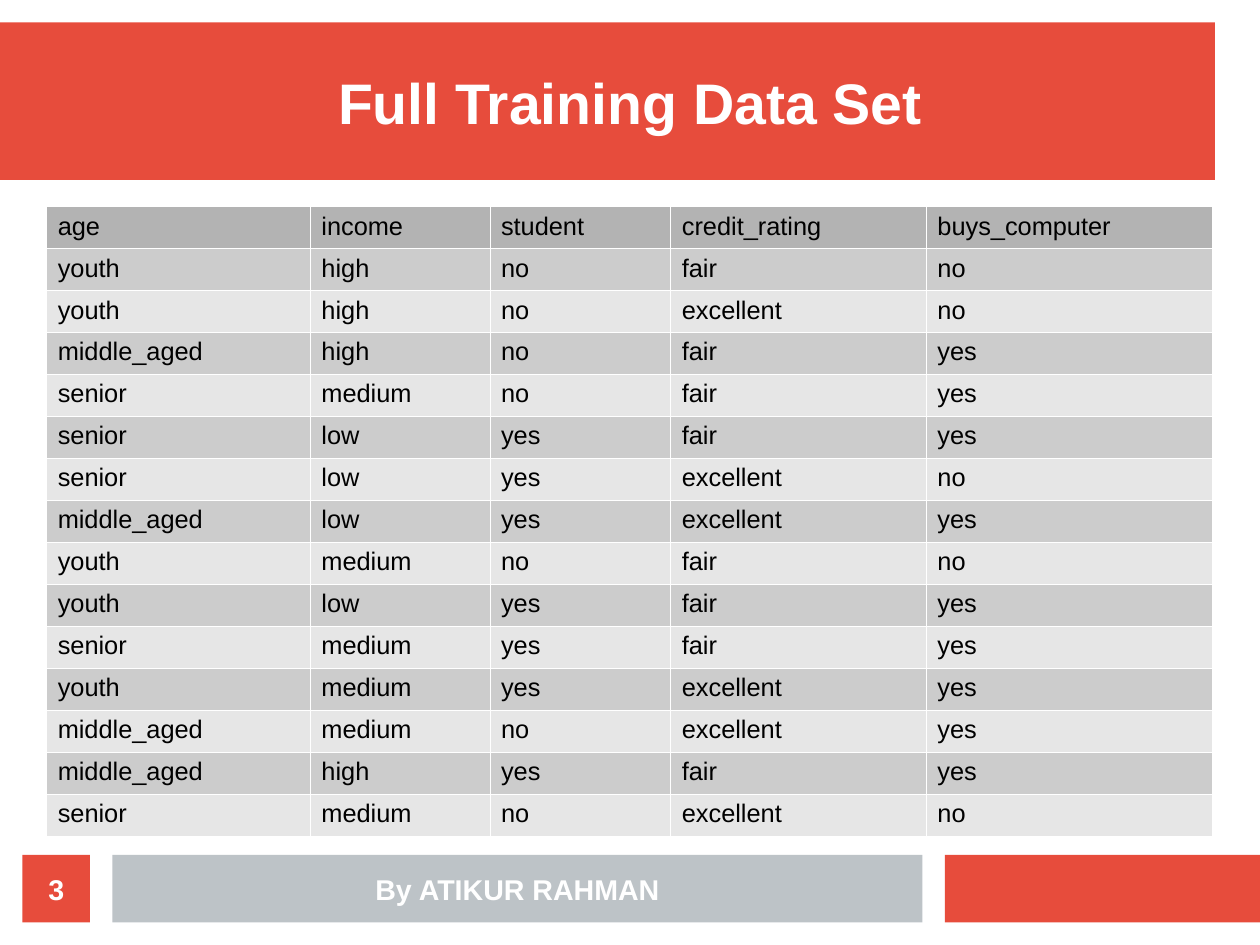
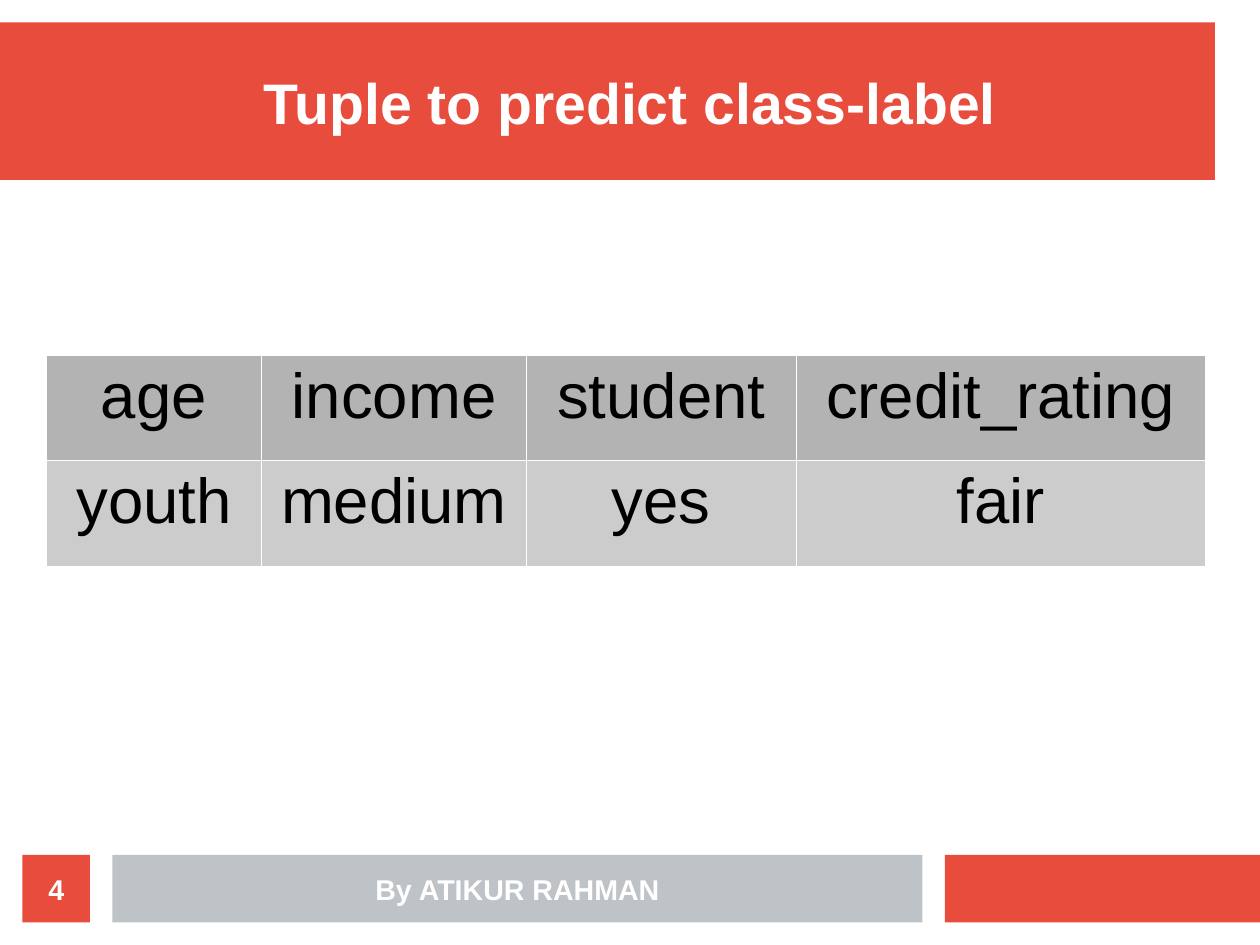
from dataclasses import dataclass

from lxml import etree
from pptx import Presentation
from pptx.dml.color import RGBColor
from pptx.enum.shapes import MSO_SHAPE
from pptx.enum.text import MSO_ANCHOR, PP_ALIGN
from pptx.oxml.ns import qn
from pptx.util import Cm, Pt

RECTANGLE = MSO_SHAPE.RECTANGLE
MIDDLE = MSO_ANCHOR.MIDDLE
LEFT, CENTER = PP_ALIGN.LEFT, PP_ALIGN.CENTER


@dataclass(frozen=True)
class Theme:
    font: str = "Arial"
    accent: str = "E74C3C"
    footer: str = "BDC3C7"
    light: str = "FFFFFF"
    dark: str = "000000"
    header_row: str = "B3B3B3"
    odd_row: str = "CCCCCC"
    even_row: str = "E6E6E6"
    title_size: int = 36
    footer_size: int = 18
    border_width: int = 762


THEME = Theme()
AUTHOR = "By ATIKUR RAHMAN"

# All lengths are in centimetres; boxes are left, top, width, height.
SLIDE_WIDTH, SLIDE_HEIGHT = 28, 21
TITLE_BAND = (0, 0.5, 27, 3.5)
TITLE_BOX = (4.52, 1, 18.97, 2.5)
FOOTER_TOP, FOOTER_HEIGHT = 19, 1.5
NUMBER_BOX = (0.5, FOOTER_TOP, 1.5, FOOTER_HEIGHT)
AUTHOR_BOX = (2.5, FOOTER_TOP, 18, FOOTER_HEIGHT)
CORNER_BOX = (21, FOOTER_TOP, 7, FOOTER_HEIGHT)
TABLE_LEFT = 1.03

SLIDES = [
    {
        "number": 3,
        "title": "Full Training Data Set",
        "top": 4.59,
        "row_height": 0.93,
        "columns": (5.86, 3.99, 4.02, 5.68, 6.35),
        "size": 16,
        "align": LEFT,
        "rows": [
            ("age", "income", "student", "credit_rating", "buys_computer"),
            ("youth", "high", "no", "fair", "no"),
            ("youth", "high", "no", "excellent", "no"),
            ("middle_aged", "high", "no", "fair", "yes"),
            ("senior", "medium", "no", "fair", "yes"),
            ("senior", "low", "yes", "fair", "yes"),
            ("senior", "low", "yes", "excellent", "no"),
            ("middle_aged", "low", "yes", "excellent", "yes"),
            ("youth", "medium", "no", "fair", "no"),
            ("youth", "low", "yes", "fair", "yes"),
            ("senior", "medium", "yes", "fair", "yes"),
            ("youth", "medium", "yes", "excellent", "yes"),
            ("middle_aged", "medium", "no", "excellent", "yes"),
            ("middle_aged", "high", "yes", "fair", "yes"),
            ("senior", "medium", "no", "excellent", "no"),
        ],
    },
    {
        "number": 4,
        "title": "Tuple to predict class-label",
        "top": 7.89,
        "row_height": 2.34,
        "columns": (4.78, 5.89, 5.99, 9.09),
        "size": 40,
        "align": CENTER,
        "rows": [
            ("age", "income", "student", "credit_rating"),
            ("youth", "medium", "yes", "fair"),
        ],
    },
]


def write_text(frame, text, size, color, bold, align):
    paragraph = frame.paragraphs[0]
    paragraph.alignment = align
    run = paragraph.add_run()
    run.text = text
    formats = {"name": THEME.font, "size": Pt(size), "bold": bold}
    for name, value in formats.items():
        setattr(run.font, name, value)
    run.font.color.rgb = RGBColor.from_string(color)


def write_label(shape, text, size):
    """Centre bold light text in a shape or text box without margins."""
    frame = shape.text_frame
    formats = {"word_wrap": True, "vertical_anchor": MIDDLE, "margin_left": 0,
               "margin_top": 0, "margin_right": 0, "margin_bottom": 0}
    for name, value in formats.items():
        setattr(frame, name, value)
    write_text(frame, text, size, THEME.light, True, CENTER)


def add_block(slide, box, color):
    shape = slide.shapes.add_shape(RECTANGLE, *map(Cm, box))
    shape.shadow.inherit = False
    shape.fill.solid()
    shape.fill.fore_color.rgb = RGBColor.from_string(color)
    shape.line.fill.background()
    return shape


def add_frame(slide, title, number):
    """Add the title band and footer that every slide shares."""
    add_block(slide, TITLE_BAND, THEME.accent)
    add_block(slide, CORNER_BOX, THEME.accent)
    author = add_block(slide, AUTHOR_BOX, THEME.footer)
    write_label(author, AUTHOR, THEME.footer_size)
    badge = add_block(slide, NUMBER_BOX, THEME.accent)
    write_label(badge, str(number), THEME.footer_size)
    title_box = slide.shapes.add_textbox(*map(Cm, TITLE_BOX))
    write_label(title_box, title, THEME.title_size)


def add_borders(cell):
    properties = cell._tc.get_or_add_tcPr()
    for side in ("lnL", "lnR", "lnT", "lnB"):
        line = etree.SubElement(properties, qn(f"a:{side}"), w=str(THEME.border_width))
        fill = etree.SubElement(line, qn("a:solidFill"))
        etree.SubElement(fill, qn("a:srgbClr"), val=THEME.light)


def row_color(index):
    if index == 0:
        return THEME.header_row
    return THEME.odd_row if index % 2 else THEME.even_row


def add_data_table(slide, content):
    rows, columns = content["rows"], content["columns"]
    table = slide.shapes.add_table(
        len(rows), len(columns), Cm(TABLE_LEFT), Cm(content["top"]),
        Cm(sum(columns)), Cm(content["row_height"] * len(rows))).table
    table.first_row = table.horz_banding = False
    for column, width in zip(table.columns, columns):
        column.width = Cm(width)
    for index, (row, values) in enumerate(zip(table.rows, rows)):
        row.height = Cm(content["row_height"])
        for cell, value in zip(row.cells, values):
            add_borders(cell)
            cell.fill.solid()
            cell.fill.fore_color.rgb = RGBColor.from_string(row_color(index))
            write_text(cell.text_frame, value, content["size"], THEME.dark,
                       False, content["align"])


def main():
    presentation = Presentation()
    presentation.slide_width = Cm(SLIDE_WIDTH)
    presentation.slide_height = Cm(SLIDE_HEIGHT)
    blank_layout = presentation.slide_layouts[6]
    for content in SLIDES:
        slide = presentation.slides.add_slide(blank_layout)
        add_frame(slide, content["title"], content["number"])
        add_data_table(slide, content)
    presentation.save("out.pptx")


if __name__ == "__main__":
    main()
